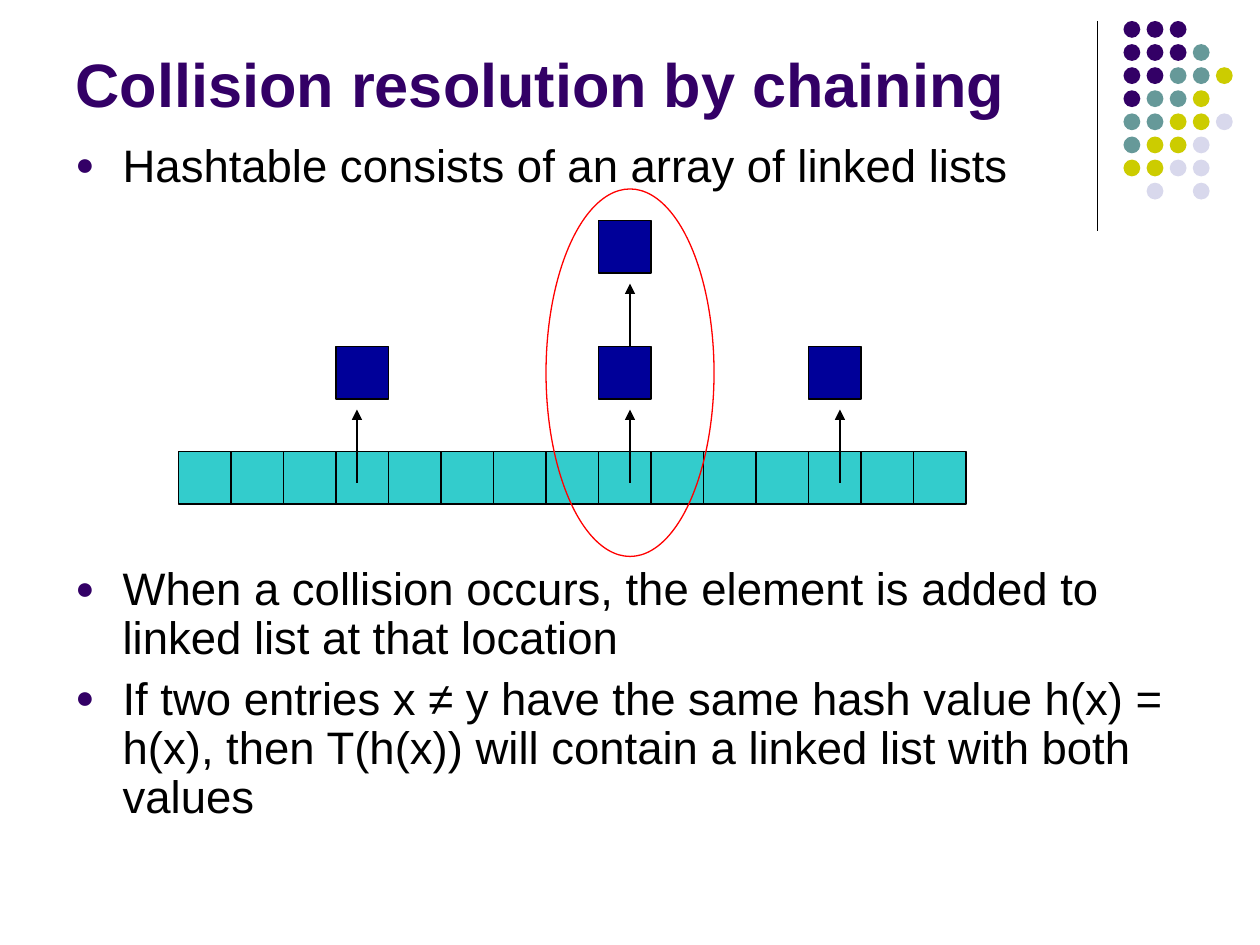
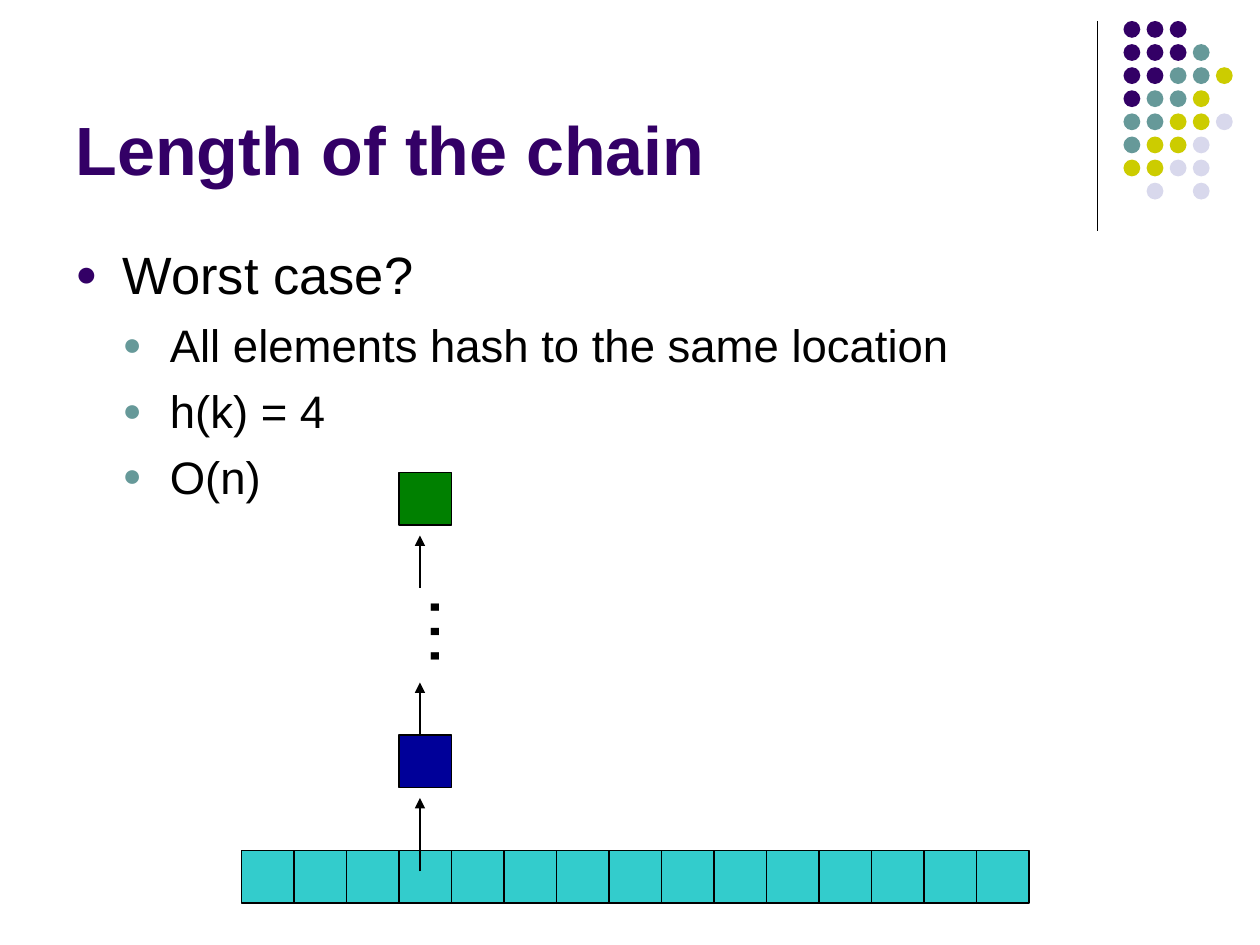
from pptx import Presentation
from pptx.dml.color import RGBColor as RGB
from pptx.enum.shapes import MSO_CONNECTOR as LINE, MSO_SHAPE as SHAPE
from pptx.enum.text import MSO_ANCHOR as ANCHOR, MSO_AUTO_SIZE as FIT, PP_ALIGN as ALIGN
from pptx.oxml.ns import qn
from pptx.util import Pt
from lxml.etree import SubElement

PX = 914400 // 120
CELL = 50
CELLS = 15
COLORS = {
    "purple": "330066", "teal": "669999", "lime": "CCCC00", "lilac": "D8D8EC",
    "black": "000000", "cyan": "33CCCC", "blue": "000099", "green": "008000",
    "red": "FF0000",
}


def write(tf, text, size, color="black", bold=False, bullet=None, level=0,
          before=0, spacing=None):
    p = tf.paragraphs[0] if not tf.text else tf.add_paragraph()
    p.alignment = ALIGN.LEFT
    p.level = level
    p.space_before = Pt(before)
    if spacing:
        p.line_spacing = spacing
    r = p.add_run()
    r.text = text
    r.font.name = "Arial"
    r.font.size = Pt(size)
    r.font.bold = bold
    r.font.color.rgb = RGB.from_string(COLORS[color])
    if bullet:
        pPr = p._p.get_or_add_pPr()
        pPr.set("marL", str(45 * (level + 1) * PX))
        pPr.set("indent", str(-45 * PX))
        clr = SubElement(pPr, qn("a:buClr"))
        SubElement(clr, qn("a:srgbClr"), val=COLORS[bullet])
        SubElement(pPr, qn("a:buSzPct"), val="70000")
        SubElement(pPr, qn("a:buFont"), typeface="Arial")
        SubElement(pPr, qn("a:buChar"), char="●")


def draw(s, x, y, w, h, shape=None, fill=None, line="black", arrow=False):
    if shape is None:
        sp = s.shapes.add_connector(LINE.STRAIGHT, x * PX, y * PX, (x + w) * PX, (y + h) * PX)
        SubElement(sp.element.spPr, qn("a:effectLst"))
    else:
        sp = s.shapes.add_shape(shape, x * PX, y * PX, w * PX, h * PX)
        sp.shadow.inherit = False
        if fill:
            sp.fill.solid()
            sp.fill.fore_color.rgb = RGB.from_string(COLORS[fill])
        else:
            sp.fill.background()
    if line:
        sp.line.color.rgb = RGB.from_string(COLORS[line])
        sp.line.width = Pt(0.75)
    else:
        sp.line.fill.background()
    if arrow:
        SubElement(sp.line._get_or_add_ln(), qn("a:tailEnd"), type="triangle")
    return sp


prs = Presentation()
prs.slide_width = 1200 * PX
prs.slide_height = 900 * PX
layout = prs.slide_layouts[5]

slides = [
    {
        "title": ("Collision resolution by chaining", 35, 104),
        "body_top": 130,
        "body": [
            ("Hashtable consists of an array of linked lists",
             dict(size=26, bullet="purple", before=6.5, spacing=0.9)),
            ("When a collision occurs, the element is added to linked list at that location",
             dict(size=26, bullet="purple", before=214, spacing=0.9)),
            ("If two entries x ≠ y have the same hash value h(x) = h(x), "
             "then T(h(x)) will contain a linked list with both values",
             dict(size=26, bullet="purple", before=6.5, spacing=0.9)),
        ],
        "array": (170, 430),
        "arrows": [(340, 460, 390), (600, 460, 390), (800, 460, 390), (600, 330, 270)],
        "nodes": [(320, 330, "blue"), (570, 330, "blue"), (770, 330, "blue"),
                  (570, 210, "blue")],
    },
    {
        "title": ("Length of the chain", 39, 170),
        "body_top": 225,
        "body": [("Worst case?", dict(size=30, bullet="purple", before=7.5))] + [
            (text, dict(size=26, bullet="teal", level=1, before=6.5))
            for text in ("All elements hash to the same location", "h(k) = 4", "O(n)")
        ],
        "array": (230, 810),
        "arrows": [(400, 830, 760), (400, 700, 650), (400, 560, 510)],
        "nodes": [(380, 700, "blue"), (380, 450, "green")],
    },
]

for content in slides:
    s = prs.slides.add_slide(layout)
    text, size, height = content["title"]
    title = s.shapes.title
    title.left, title.top, title.width, title.height = 60 * PX, 16 * PX, 990 * PX, height * PX
    tf = title.text_frame
    tf.auto_size = FIT.NONE
    tf.vertical_anchor = ANCHOR.BOTTOM
    write(tf, text, size, color="purple", bold=True)

    top = content["body_top"]
    tf = s.shapes.add_textbox(60 * PX, top * PX, 1080 * PX, (830 - top) * PX).text_frame
    tf.word_wrap = True
    for text, style in content["body"]:
        write(tf, text, **style)

    x, y = content["array"]
    draw(s, x, y, CELLS * CELL, CELL, SHAPE.RECTANGLE, fill="cyan")
    for i in range(1, CELLS):
        draw(s, x + i * CELL, y, 0, CELL)
    for x, start, end in content["arrows"]:
        draw(s, x, start, 0, end - start, arrow=True)
    for x, y, fill in content["nodes"]:
        draw(s, x, y, CELL, CELL, SHAPE.RECTANGLE, fill=fill)

chaining, chain_length = prs.slides
draw(chaining, 520, 180, 160, 350, SHAPE.OVAL, line="red")

ellipsis = chain_length.shapes.add_textbox(330 * PX, 540 * PX, 120 * PX, 101 * PX)
ellipsis.rotation = 270
ellipsis.text_frame.word_wrap = True
write(ellipsis.text_frame, "…", 44, before=27.5)

dot_colors = {"P": "purple", "T": "teal", "Y": "lime", "L": "lilac"}
dot_rows = ["PPP", "PPPT", "PPTTY", "PTTY", "TTYYL", "TYYL", "YYLL", " L L"]
decor = [draw(chaining, 1045, 20, 0, 200)]
for row, dots in enumerate(dot_rows):
    for col, dot in enumerate(dots):
        if dot in dot_colors:
            decor.append(draw(chaining, 1070 + 22 * col, 20 + 22 * row, 16, 16, SHAPE.OVAL,
                              fill=dot_colors[dot], line=None))
tree = layout.shapes.element
for sp in decor:
    tree.append(sp.element)
for i, props in enumerate(tree.iter(qn("p:cNvPr")), 1):
    props.set("id", str(i))

prs.save("out.pptx")
